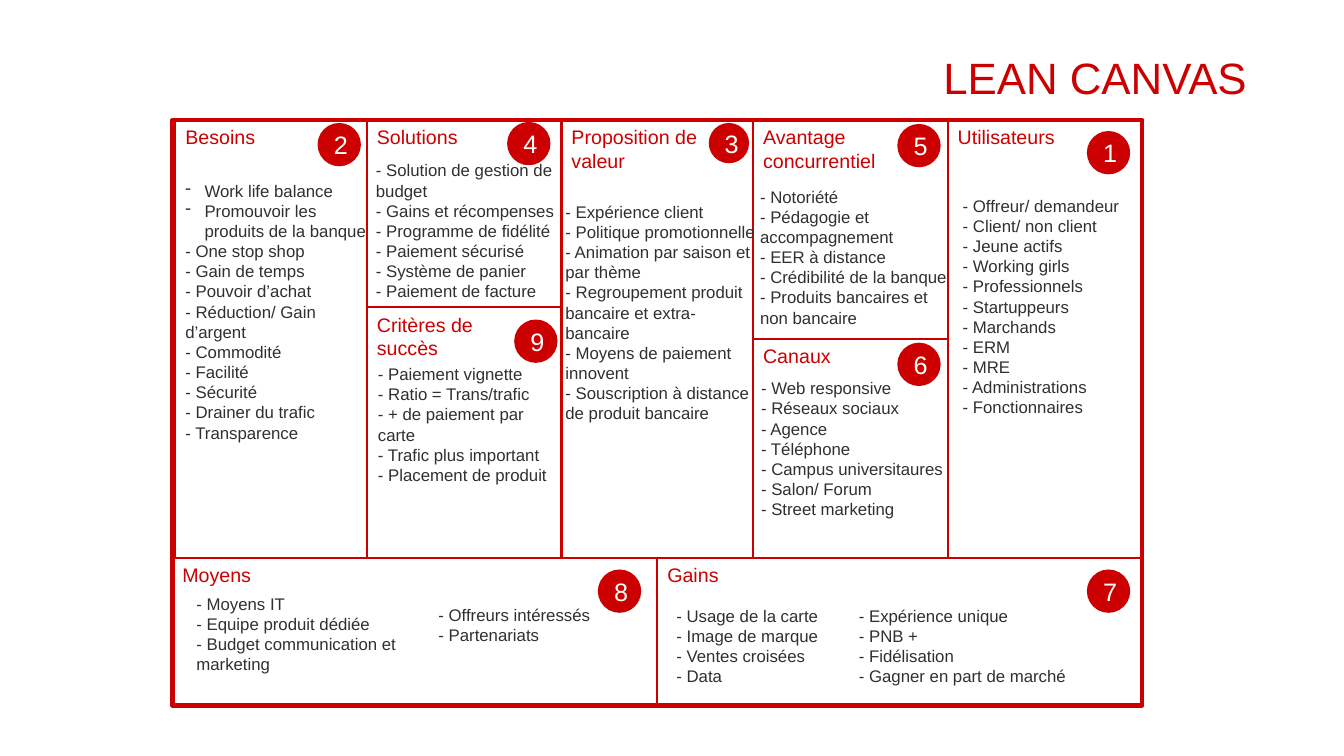
from dataclasses import dataclass

from lxml import etree
from pptx import Presentation
from pptx.dml.color import RGBColor
from pptx.enum import shapes, text
from pptx.oxml import ns
from pptx.util import Inches, Pt


@dataclass(frozen=True)
class Theme:
    font: str = "Arial"
    red: RGBColor = RGBColor(0xCC, 0x00, 0x00)
    ink: RGBColor = RGBColor(0x30, 0x30, 0x30)
    white: RGBColor = RGBColor(0xFF, 0xFF, 0xFF)
    title: int = 54
    badge: int = 18
    heading: int = 14
    body: int = 12
    cell_line: float = 1.5
    frame_line: float = 3


theme = Theme()


def write(frame, content, size, color, align=text.PP_ALIGN.LEFT,
          anchor=text.MSO_ANCHOR.TOP, bullets=0):
    """Write one paragraph per line; the first `bullets` lines get a dash bullet."""
    frame.word_wrap = True
    frame.vertical_anchor = anchor
    for index, line in enumerate(content.split("\n")):
        paragraph = frame.paragraphs[0] if index == 0 else frame.add_paragraph()
        paragraph.alignment = align
        if index < bullets:
            properties = paragraph._p.get_or_add_pPr()
            properties.set("marL", str(Inches(0.19)))
            properties.set("indent", str(-Inches(0.19)))
            etree.SubElement(properties, ns.qn("a:buChar")).set("char", "-")
        run = paragraph.add_run()
        run.text = line
        run.font.name = theme.font
        run.font.size = Pt(size)
        run.font.color.rgb = color


def add_box(kind, left, top, width, height, fill=None, line=None):
    shape = slide.shapes.add_shape(
        kind, Inches(left), Inches(top), Inches(width), Inches(height))
    shape.shadow.inherit = False
    if fill is None:
        shape.fill.background()
    else:
        shape.fill.solid()
        shape.fill.fore_color.rgb = fill
    if line is None:
        shape.line.fill.background()
    else:
        shape.line.color.rgb = theme.red
        shape.line.width = Pt(line)
    return shape


presentation = Presentation()
presentation.slide_width = Inches(13.33)
presentation.slide_height = Inches(7.5)
slide = presentation.slides.add_slide(presentation.slide_layouts[5])

# Title, raised above the baseline
title = slide.shapes.title
title.left, title.top = Inches(1.01), Inches(0.42)
title.width, title.height = Inches(11.46), Inches(0.61)
title.text_frame.auto_size = text.MSO_AUTO_SIZE.NONE
write(title.text_frame, "LEAN CANVAS", theme.title, theme.red,
      align=text.PP_ALIGN.RIGHT, anchor=text.MSO_ANCHOR.MIDDLE)
title.text_frame.paragraphs[0].runs[0]._r.get_or_add_rPr().set("baseline", "12000")

# Canvas grid: column edges and row edges
left, middle, right = 1.71, 6.52, 11.33
columns = [1.74, 3.64, 5.57, 7.47, 9.4, right]
top, floor, bottom = 1.19, 5.54, 7.0
solutions_end, advantage_end = 3.05, 3.36

# Cells: heading, left, top, right, bottom
cells = [
    ("Moyens", left, floor, middle, bottom),
    ("Gains", middle, floor, right, bottom),
    ("Besoins", columns[0], top, columns[1], floor),
    ("Solutions", columns[1], top, columns[2], solutions_end),
    ("Critères de\nsuccès", columns[1], solutions_end, columns[2], floor),
    ("Proposition de valeur", columns[2], top, columns[3], floor),
    ("Avantage concurrentiel", columns[3], top, columns[4], advantage_end),
    ("Canaux", columns[3], advantage_end, columns[4], floor),
    ("Utilisateurs", columns[4], top, columns[5], floor),
]
for heading, x1, y1, x2, y2 in cells:
    cell = add_box(shapes.MSO_SHAPE.RECTANGLE, x1, y1, x2 - x1, y2 - y1,
                   line=theme.cell_line)
    write(cell.text_frame, heading, theme.heading, theme.red)

# Outer frame
add_box(shapes.MSO_SHAPE.RECTANGLE, left, top, right - left, bottom - top,
        line=theme.frame_line)

# Numbered badges: number, left, top, diameter
badges = [
    (1, 10.78, 1.3, 0.43), (2, 3.15, 1.22, 0.43), (3, 7.03, 1.22, 0.4),
    (4, 5.03, 1.21, 0.43), (5, 8.9, 1.23, 0.43), (6, 8.9, 3.4, 0.43),
    (7, 10.78, 5.65, 0.43), (8, 5.93, 5.65, 0.43), (9, 5.1, 3.17, 0.43),
]
for number, x, y, diameter in badges:
    badge = add_box(shapes.MSO_SHAPE.OVAL, x, y, diameter, diameter, fill=theme.red)
    write(badge.text_frame, str(number), theme.badge, theme.white,
          align=text.PP_ALIGN.CENTER, anchor=text.MSO_ANCHOR.MIDDLE)

# Lists: left, top, width, height, number of bulleted lines, lines
lists = [
    (1.74, 1.74, 2.08, 2.73, 2, """Work life balance
Promouvoir les produits de la banque
- One stop shop
- Gain de temps
- Pouvoir d’achat
- Réduction/ Gain d’argent
- Commodité
- Facilité
- Sécurité
- Drainer du trafic
- Transparence"""),
    (9.45, 1.89, 1.77, 2.32, 0, """- Offreur/ demandeur
- Client/ non client
- Jeune actifs
- Working girls
- Professionnels
- Startuppeurs
- Marchands
- ERM
- MRE
- Administrations
- Fonctionnaires"""),
    (1.85, 5.84, 2.54, 0.91, 0, """- Moyens IT
- Equipe produit dédiée
- Budget communication et marketing"""),
    (4.25, 5.95, 2.12, 0.5, 0, """- Offreurs intéressés
- Partenariats"""),
    (5.51, 1.95, 2.1, 2.52, 0, """- Expérience client
- Politique promotionnelle
- Animation par saison et par thème
- Regroupement produit bancaire et extra-bancaire
- Moyens de paiement innovent
- Souscription à distance de produit bancaire"""),
    (6.61, 5.96, 2.12, 0.91, 0, """- Usage de la carte
- Image de marque
- Ventes croisées
- Data"""),
    (8.42, 5.96, 2.44, 0.91, 0, """- Expérience unique
- PNB +
- Fidélisation
- Gagner en part de marché"""),
    (7.44, 1.8, 2.06, 1.72, 0, """- Notoriété
- Pédagogie et accompagnement
- EER à distance
- Crédibilité de la banque
- Produits bancaires et non bancaire"""),
    (7.45, 3.7, 2.04, 1.72, 0, """- Web responsive
- Réseaux sociaux
- Agence
- Téléphone
- Campus universitaures
- Salon/ Forum
- Street marketing"""),
    (3.65, 3.56, 2.05, 1.31, 0, """- Paiement vignette
- Ratio = Trans/trafic
- + de paiement par carte
- Trafic plus important
- Placement de produit"""),
    (3.63, 1.54, 2.02, 1.51, 0, """- Solution de gestion de budget
- Gains et récompenses
- Programme de fidélité
- Paiement sécurisé
- Système de panier
- Paiement de facture"""),
]
for x, y, width, height, bullets, content in lists:
    box = slide.shapes.add_textbox(Inches(x), Inches(y), Inches(width), Inches(height))
    box.text_frame.auto_size = text.MSO_AUTO_SIZE.SHAPE_TO_FIT_TEXT
    write(box.text_frame, content, theme.body, theme.ink, bullets=bullets)

presentation.save("out.pptx")
